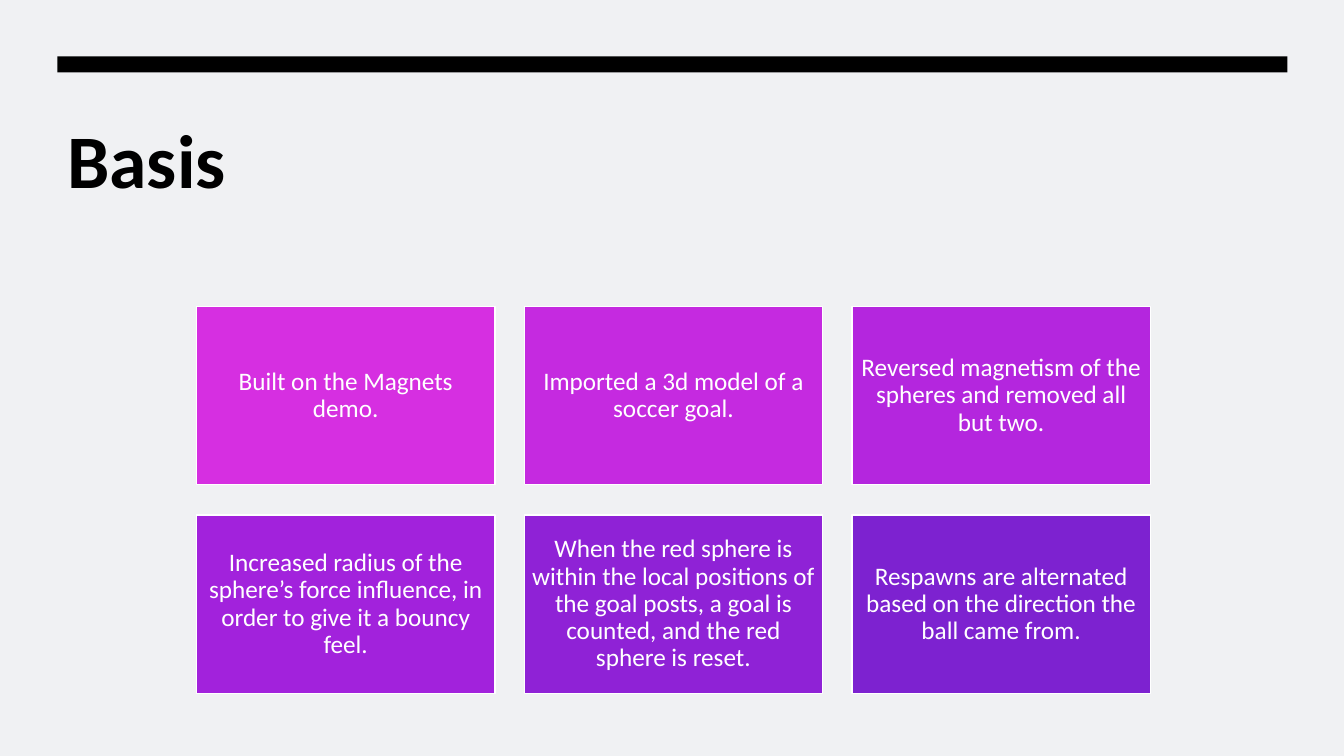
from dataclasses import dataclass

from pptx import Presentation
from pptx import util as u
from pptx.dml.color import RGBColor
from pptx.enum import shapes, text


@dataclass(frozen=True)
class Theme:
    font: str = "Calibri"
    background: str = "F0F1F3"
    ink: str = "000000"
    light: str = "FFFFFF"
    cards: tuple = ("D62FE1", "C52AE0", "B426DE", "A222DC", "8F22D6", "7D22D0")
    title_size: int = 54
    card_size: int = 18


class SlideBuilder:
    def __init__(self, slide, theme):
        self.slide = slide
        self.theme = theme
        self.paint(slide.background.fill, theme.background)

    def paint(self, fill, color):
        fill.solid()
        fill.fore_color.rgb = RGBColor.from_string(color)

    def set_text(self, shape, words, size, color, bold=False):
        frame = shape.text_frame
        frame.word_wrap = True
        para = frame.paragraphs[0]
        para.text = words
        para.font.name = self.theme.font
        para.font.size = u.Pt(size)
        para.font.bold = bold
        para.font.color.rgb = RGBColor.from_string(color)
        return frame, para

    def title(self, words, left, top, width, height):
        box = self.slide.shapes.add_textbox(*map(u.Inches, (left, top, width, height)))
        self.set_text(box, words, self.theme.title_size, self.theme.ink, bold=True)

    def rectangle(self, color, left, top, width, height):
        shape = self.slide.shapes.add_shape(
            shapes.MSO_SHAPE.RECTANGLE, *map(u.Inches, (left, top, width, height)))
        shape.shadow.inherit = False
        self.paint(shape.fill, color)
        shape.line.fill.background()
        return shape

    def card(self, words, color, left, top, width, height):
        card = self.rectangle(color, left, top, width, height)
        self.paint(card.line.fill, self.theme.light)
        card.line.width = u.Pt(1)
        frame, para = self.set_text(card, words, self.theme.card_size, self.theme.light)
        frame.vertical_anchor = text.MSO_ANCHOR.MIDDLE
        frame.margin_left = frame.margin_right = u.Inches(0.07)
        frame.margin_top = frame.margin_bottom = u.Inches(0.07)
        para.alignment = text.PP_ALIGN.CENTER
        para.line_spacing = 0.9


STEPS = (
    "Built on the Magnets demo.",
    "Imported a 3d model of a soccer goal.",
    "Reversed magnetism of the spheres and removed all but two.",
    "Increased radius of the sphere’s force influence, in order to give it a bouncy feel.",
    "When the red sphere is within the local positions of the goal posts, "
    "a goal is counted, and the red sphere is reset.",
    "Respawns are alternated based on the direction the ball came from.",
)
COLUMNS = 3
CARD_WIDTH, CARD_HEIGHT = 2.96, 1.77
GRID_LEFT, GRID_TOP = 1.95, 3.04
COLUMN_STEP, ROW_STEP = 3.25, 2.07

deck = Presentation()
deck.slide_width, deck.slide_height = u.Inches(13.33), u.Inches(7.5)
theme = Theme()
page = SlideBuilder(deck.slides.add_slide(deck.slide_layouts[6]), theme)

page.title("Basis", 0.57, 1.07, 12.2, 1.79)
page.rectangle(theme.ink, 0.57, 0.56, 12.2, 0.16)
for index, (step, color) in enumerate(zip(STEPS, theme.cards)):
    row, column = divmod(index, COLUMNS)
    page.card(step, color, GRID_LEFT + column * COLUMN_STEP,
              GRID_TOP + row * ROW_STEP, CARD_WIDTH, CARD_HEIGHT)

deck.save("out.pptx")
